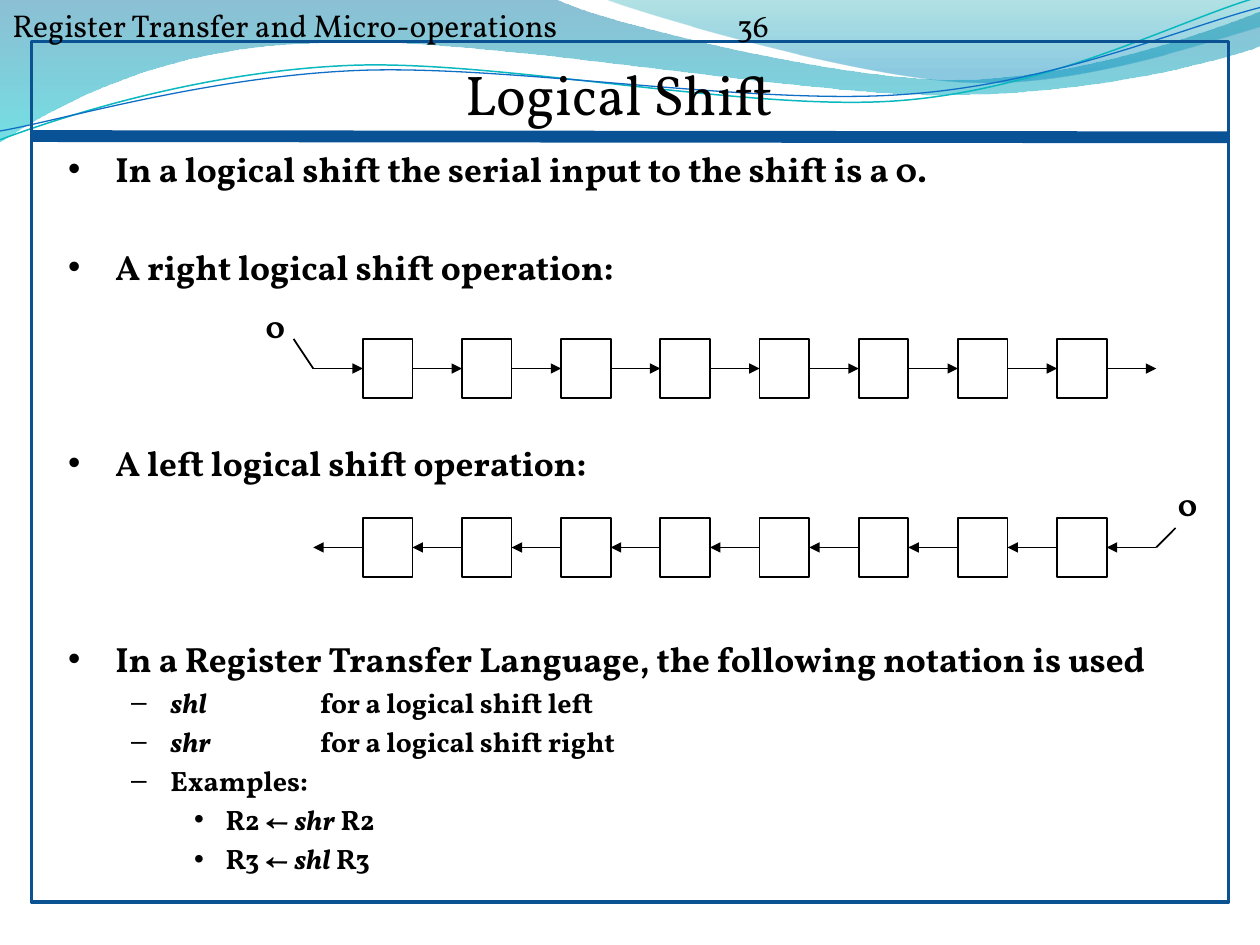
from dataclasses import dataclass

from lxml import etree
from pptx import Presentation
from pptx.dml.color import RGBColor
from pptx.enum.shapes import MSO_CONNECTOR, MSO_SHAPE
from pptx.enum.text import MSO_ANCHOR, MSO_AUTO_SIZE, PP_ALIGN
from pptx.oxml.ns import qn
from pptx.util import Inches, Pt

RECT = MSO_SHAPE.RECTANGLE
STRAIGHT = MSO_CONNECTOR.STRAIGHT
TOP = MSO_ANCHOR.TOP
FIXED = MSO_AUTO_SIZE.NONE
CENTER = PP_ALIGN.CENTER


@dataclass(frozen=True)
class Theme:
    """Hold the font, colours and type sizes."""
    font: str = "Vollkorn"
    ink: str = "000000"
    frame: str = "0B5292"
    rule: str = "095295"
    aqua: str = "0AB8BF"
    blue: str = "0F6FC6"
    title: int = 32
    head: int = 20
    label: int = 18
    sub: int = 16


THEME = Theme()
CELLS = 8
FIRST, LAST = 2.88, 8.39
STEP = (LAST - FIRST) / (CELLS - 1)
SIDE, TALL = STEP / 2, 0.47

BANDS = (
    (((0, 0), (4.4, -0.01), (4.76, 0.17, 6.64, 0.63, 7.58, 0.63),
      (8.53, 0.63, 9.58, 0.26, 10, 0.09), (10.01, 0.36),
      (9.83, 0.44, 8.7, 0.76, 7.46, 0.75), (6.22, 0.75, 3.82, 0.28, 2.57, 0.34),
      (1.29, 0.36, 0.46, 0.83, -0.01, 1.13)),
     ((0, "0074A1", 45), (1, "00C6CF", 55))),
    (((4.79, -0.01), (5.09, 0.11, 6.82, 0.62, 7.69, 0.65),
      (8.56, 0.69, 9.61, 0.32, 10, 0.21), (10, 0)),
     ((0, "00A1A9", 30), (0.8, "008BBF", 45))),
)
WAVES = (
    (((0, 1.11), (0.48, 0.93, 1.58, 0.57, 2.77, 0.52),
      (3.95, 0.47, 5.93, 0.89, 7.13, 0.8), (8.33, 0.71, 9.38, 0.15, 9.98, -0.02)),
     THEME.aqua, 0.85),
    (((0, 1.04), (0.47, 0.96, 1.64, 0.61, 2.83, 0.56),
      (4.03, 0.51, 5.97, 0.84, 7.17, 0.75), (8.36, 0.67, 9.41, 0.21, 10, 0.06)),
     THEME.blue, 0.75),
)
POINTS = (
    (0, 0, ("In a logical shift the serial input to the shift is a 0.",)),
    (0, 32, ("A right logical shift operation:",)),
    (0, 88, ("A left logical shift operation:",)),
    (0, 88, ("In a Register Transfer Language, the following notation is used",)),
    (1, 3.2, ("", "shl", "\tfor a logical shift left")),
    (1, 3.2, ("", "shr", "\tfor a logical shift right")),
    (1, 3.2, ("Examples:",)),
    (2, 3.2, ("R2 ← ", "shr", " R2")),
    (2, 3.2, ("R3 ← ", "shl", " R3")),
)


def place(shape, left, top, width, height):
    """Set the bounds of a shape in inches."""
    shape.left, shape.top = Inches(left), Inches(top)
    shape.width, shape.height = Inches(width), Inches(height)


def stroke(shape, color, width):
    """Give a shape a solid line."""
    shape.line.color.rgb = RGBColor.from_string(color)
    shape.line.width = Pt(width)


def write(para, text, size, bold=False, italic=False):
    """Add one styled run to a paragraph."""
    run = para.add_run()
    run.text = text
    font = run.font
    font.name, font.size = THEME.font, Pt(size)
    font.bold, font.italic = bold, italic
    font.color.rgb = RGBColor.from_string(THEME.ink)


def set_tab(para, spot):
    """Give a paragraph one left tab stop."""
    tabs = etree.SubElement(para._p.get_or_add_pPr(), qn("a:tabLst"))
    etree.SubElement(tabs, qn("a:tab"), pos=str(Inches(spot)), algn="l")


def bend_path(shape, parts):
    """Merge each three line steps of a curve into one Bezier."""
    steps = iter(list(shape._element.iter(qn("a:lnTo"))))
    for part in parts:
        step = next(steps)
        if len(part) == 6:
            step.addprevious(curve := etree.Element(qn("a:cubicBezTo")))
            for old in (step, next(steps), next(steps)):
                curve.append(old[0])
                old.getparent().remove(old)


def add_path(slide, parts, close):
    """Draw a freeform of lines and curves."""
    spots = [(Inches(part[i]), Inches(part[i + 1]))
             for part in parts for i in range(0, len(part), 2)]
    form = slide.shapes.build_freeform(*spots[0])
    form.add_line_segments(spots[1:], close=close)
    shape = form.convert_to_shape()
    shape.shadow.inherit = False
    bend_path(shape, parts[1:])
    return shape


def add_band(slide, parts, stops):
    """Draw a closed band with a clear gradient."""
    band = add_path(slide, parts, True)
    band.line.fill.background()
    band.fill.gradient()
    band.fill.gradient_angle = 270
    for stop, (spot, color, _) in zip(band.fill.gradient_stops, stops):
        stop.position = spot
        stop.color.rgb = RGBColor.from_string(color)
    for node, (_, _, alpha) in zip(band._element.iter(qn("a:srgbClr")), stops):
        etree.SubElement(node, qn("a:alpha"), val=str(alpha * 1000))


def add_wave(slide, parts, color, width):
    """Draw an open curved line."""
    wave = add_path(slide, parts, False)
    wave.fill.background()
    stroke(wave, color, width)


def add_box(slide, bounds, color, width):
    """Draw an unfilled rectangle."""
    box = slide.shapes.add_shape(RECT, *map(Inches, bounds))
    box.shadow.inherit = False
    box.fill.background()
    stroke(box, color, width)


def add_line(slide, start, end, color=THEME.ink, width=1, arrow=False):
    """Draw a straight line, with an arrowhead if asked."""
    line = slide.shapes.add_connector(STRAIGHT, *map(Inches, (*start, *end)))
    stroke(line, color, width)
    if arrow:
        etree.SubElement(line.get_or_add_ln(), qn("a:tailEnd"), type="triangle")
    etree.SubElement(line._element.spPr, qn("a:effectLst"))


def add_label(slide, bounds, text, bold=False, wrap=True):
    """Add a text box and return its paragraph."""
    box = slide.shapes.add_textbox(*map(Inches, bounds))
    box.text_frame.word_wrap = wrap
    para = box.text_frame.paragraphs[0]
    write(para, text, THEME.label, bold)
    return para


def add_row(slide, top, right, bend, zero):
    """Draw a register row that shifts right or left."""
    mid = top + TALL / 2
    for i in range(CELLS):
        add_box(slide, (FIRST + i * STEP, top, SIDE, TALL), THEME.ink, 1)
    for i in range(CELLS + 1):
        ends = [(FIRST - SIDE + i * STEP, mid), (FIRST + i * STEP, mid)]
        add_line(slide, *(ends if right else ends[::-1]), arrow=True)
    entry = FIRST - SIDE if right else LAST + STEP
    add_line(slide, (entry, mid), bend)
    add_label(slide, (*zero, 0.33, 0.4), "0", True, False)


def lift(slide, shape, bounds):
    """Move a placeholder to the front and return its text frame."""
    slide.shapes._spTree.append(shape._element)
    place(shape, *bounds)
    frame = shape.text_frame
    frame.word_wrap, frame.auto_size = True, FIXED
    frame.vertical_anchor = TOP
    return frame


def fill_title(slide):
    """Write the title."""
    para = lift(slide, slide.shapes.title, (0.75, 0.42, 8.42, 0.64)).paragraphs[0]
    para.alignment = CENTER
    write(para, "Logical Shift ", THEME.title)


def fill_body(slide):
    """Write the list, with every second run in italics."""
    frame = lift(slide, slide.placeholders[1], (0.44, 1.12, 8.97, 6.21))
    for i, (level, gap, runs) in enumerate(POINTS):
        para = frame.add_paragraph() if i else frame.paragraphs[0]
        para.level, para.space_before = level, Pt(gap)
        if level == 1:
            set_tab(para, 2)
        for j, text in enumerate(runs):
            if text:
                write(para, text, THEME.sub if level else THEME.head, True, j == 1)


def main():
    """Build the slide and save it."""
    deck = Presentation()
    deck.slide_width, deck.slide_height = Inches(10), Inches(7.5)
    slide = deck.slides.add_slide(deck.slide_layouts[1])
    for band in BANDS:
        add_band(slide, *band)
    for wave in WAVES:
        add_wave(slide, *wave)
    add_box(slide, (0.25, 0.33, 9.5, 6.83), THEME.frame, 2)
    head = "Register Transfer and Micro-operations\t36"
    set_tab(add_label(slide, (0, 0, 10, 0.4), head), 5.75)
    add_line(slide, (0.25, 1.08), (9.75, 1.09), THEME.rule, 6.75)
    fill_title(slide)
    fill_body(slide)
    add_row(slide, 2.69, True, (2.33, 2.69), (2.01, 2.39))
    add_row(slide, 4.11, False, (9.33, 4.19), (9.25, 3.8))
    deck.save("out.pptx")


if __name__ == "__main__":
    main()
